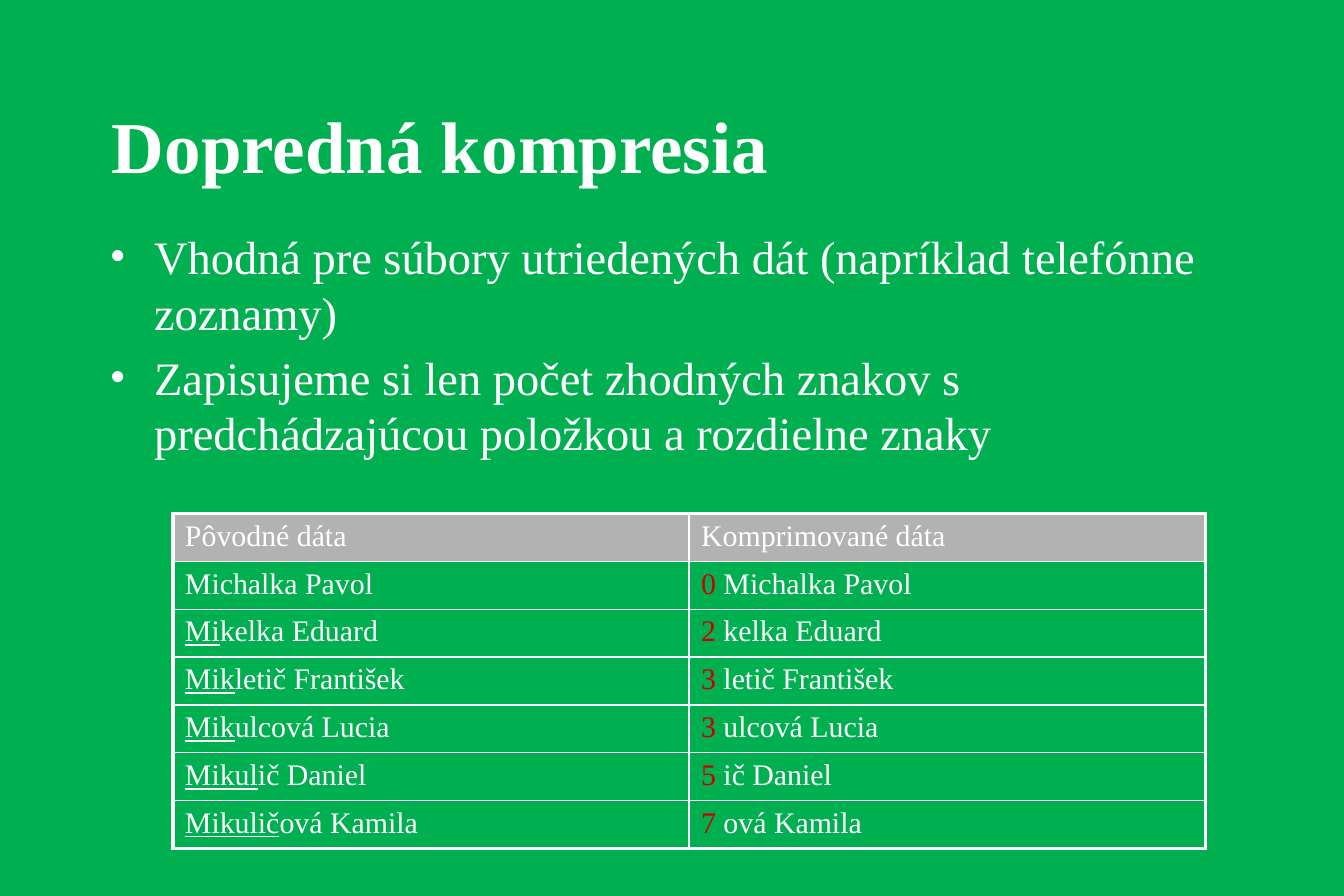
from dataclasses import dataclass

import pptx
import pptx.dml.color
import pptx.enum.text
import pptx.oxml
import pptx.oxml.ns
import pptx.util
from pptx.util import Cm

GREEN = pptx.dml.color.RGBColor(0x00, 0xB0, 0x50)
WHITE = pptx.dml.color.RGBColor(0xFF, 0xFF, 0xFF)
GREY = pptx.dml.color.RGBColor(0xB2, 0xB2, 0xB2)
RED = pptx.dml.color.RGBColor(0xCC, 0x00, 0x00)
FONT = "Times New Roman"
NS = pptx.oxml.ns.nsdecls("a")
THICK, THIN = 2.25, 1


@dataclass
class Entry:
    name: str
    shared: int


@dataclass
class Box:
    left: float
    top: float
    width: float
    height: float
    size: float
    bold: bool
    bullet: bool
    lines: list[str]


TITLE = Box(2.13, 1.47, 24.28, 3.18, 44, True, False, ["Dopredná kompresia"])
BODY = Box(2.08, 4.72, 24.99, 5.99, 28, False, True, [
    "Vhodná pre súbory utriedených dát (napríklad telefónne zoznamy)",
    "Zapisujeme si len počet zhodných znakov s predchádzajúcou položkou a rozdielne znaky",
])
HEADS = ["Pôvodné dáta", "Komprimované dáta"]
ENTRIES = [
    Entry("Michalka Pavol", 0),
    Entry("Mikelka Eduard", 2),
    Entry("Mikletič František", 3),
    Entry("Mikulcová Lucia", 3),
    Entry("Mikulič Daniel", 5),
    Entry("Mikuličová Kamila", 7),
]


def set_font(para, size: float, bold: bool = False) -> None:
    para.font.name = FONT
    para.font.size = pptx.util.Pt(size)
    para.font.bold = bold


def add_run(para, text: str, color=WHITE, under: bool = False) -> None:
    run = para.add_run()
    run.text = text
    run.font.color.rgb = color
    if under:
        run.font.underline = True


def add_bullet(para) -> None:
    props = para._p.get_or_add_pPr()
    props.set("marL", str(Cm(0.95)))
    props.set("indent", str(-Cm(0.95)))
    props.append(pptx.oxml.parse_xml(f'<a:buFont {NS} typeface="{FONT}"/>'))
    props.append(pptx.oxml.parse_xml(f'<a:buChar {NS} char="•"/>'))


def add_box(slide, box: Box) -> None:
    shape = slide.shapes.add_textbox(
        Cm(box.left), Cm(box.top), Cm(box.width), Cm(box.height))
    frame = shape.text_frame
    frame.word_wrap = True
    if not box.bullet:
        frame.vertical_anchor = pptx.enum.text.MSO_ANCHOR.MIDDLE
    for index, line in enumerate(box.lines):
        para = frame.add_paragraph() if index else frame.paragraphs[0]
        if box.bullet:
            para.space_before = pptx.util.Pt(box.size * 0.2)
            add_bullet(para)
        set_font(para, box.size, box.bold)
        para.font.color.rgb = WHITE
        para.add_run().text = line


def add_edge(cell, side: str, width: float) -> None:
    cell._tc.get_or_add_tcPr().append(pptx.oxml.parse_xml(
        f'<a:ln{side} {NS} w="{pptx.util.Pt(width)}"><a:solidFill>'
        f'<a:srgbClr val="{WHITE}"/></a:solidFill></a:ln{side}>'))


def add_table(slide) -> None:
    rows, cols = len(ENTRIES) + 1, len(HEADS)
    table = slide.shapes.add_table(
        rows, cols, Cm(3.68), Cm(10.92), Cm(21.95), Cm(7.11)).table
    table.first_row = False
    table.horz_banding = False
    for row in range(rows):
        for col in range(cols):
            cell = table.cell(row, col)
            outer = {"L": col == 0, "R": col == cols - 1,
                     "T": row == 0, "B": row == rows - 1}
            for side, edge in outer.items():
                add_edge(cell, side, THICK if edge else THIN)
            if row == 0:
                cell.fill.solid()
                cell.fill.fore_color.rgb = GREY
            else:
                cell.fill.background()
            para = cell.text_frame.paragraphs[0]
            set_font(para, 18)
            if row == 0:
                add_run(para, HEADS[col])
                continue
            entry = ENTRIES[row - 1]
            if col:
                add_run(para, f"{entry.shared} ", RED)
            elif entry.shared:
                add_run(para, entry.name[:entry.shared], under=True)
            add_run(para, entry.name[entry.shared:])


def main() -> None:
    deck = pptx.Presentation()
    deck.slide_width, deck.slide_height = Cm(28.58), Cm(19.05)
    slide = deck.slides.add_slide(deck.slide_layouts[6])
    fill = slide.background.fill
    fill.solid()
    fill.fore_color.rgb = GREEN
    add_box(slide, TITLE)
    add_box(slide, BODY)
    add_table(slide)
    deck.save("out.pptx")


if __name__ == "__main__":
    main()
